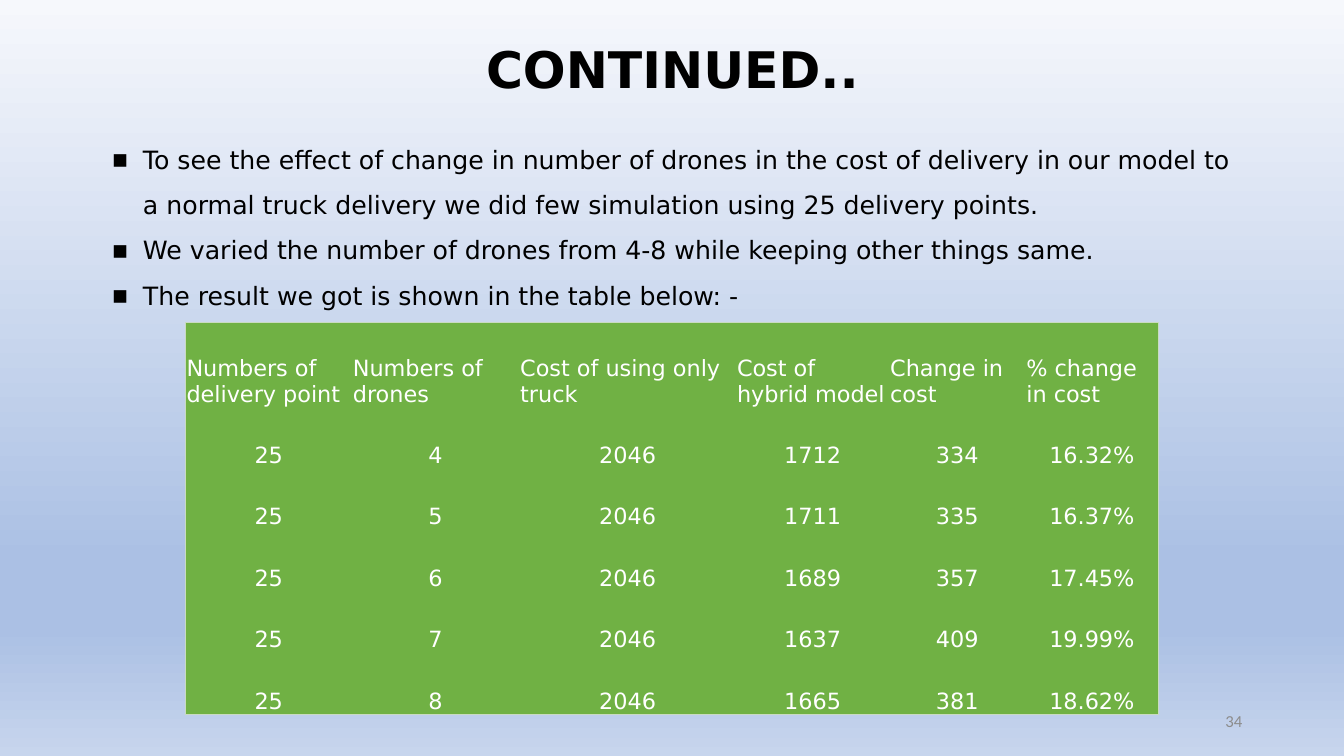
from lxml import etree
from pptx import Presentation
from pptx.dml.color import RGBColor
from pptx.enum import text
from pptx.oxml import ns
from pptx.util import Inches, Pt

TITLE = "CONTINUED.."
POINTS = [
    "To see the effect of change in number of drones in the cost of delivery in our model to a normal truck delivery we did few simulation using 25 delivery points.",
    "We varied the number of drones from 4-8 while keeping other things same.",
    "The result we got is shown in the table below: -",
]
HEAD = ["Numbers of delivery point", "Numbers of drones", "Cost of using only truck",
        "Cost of hybrid model", "Change in cost", "% change in cost"]
ROWS = [
    ["25", "4", "2046", "1712", "334", "16.32%"],
    ["25", "5", "2046", "1711", "335", "16.37%"],
    ["25", "6", "2046", "1689", "357", "17.45%"],
    ["25", "7", "2046", "1637", "409", "19.99%"],
    ["25", "8", "2046", "1665", "381", "18.62%"],
]
PAGE = "34"
WIDTHS = [1.65, 1.66, 2.15, 1.52, 1.35, 1.32]
HEIGHTS = [0.84] + [0.61] * len(ROWS)
STOPS = [(0, "F6F8FC"), (74, "ABC0E4"), (83, "ABC0E4"), (100, "C7D5ED")]
COLORS = {"ink": "000000", "page": "8C8C8C", "cell": "70B144",
          "edge": "C9DBC1", "white": "FFFFFF"}
FONT = "DejaVu Sans"
ALIGN = text.PP_ALIGN
ANCHOR = text.MSO_ANCHOR


def sub(node, tag, **attrs):
    return etree.SubElement(node, ns.qn("a:" + tag), attrs)


def write(para, words, size, color, font=FONT, bold=False, align=ALIGN.LEFT, lead=None):
    para.alignment = align
    if lead:
        para.line_spacing = lead
    run = para.add_run()
    run.text = words
    run.font.name = font
    run.font.size = Pt(size)
    run.font.bold = bold
    run.font.color.rgb = RGBColor.from_string(COLORS[color])


def box(slide, *place):
    frame = slide.shapes.add_textbox(*map(Inches, place)).text_frame
    frame.word_wrap = True
    return frame


def paint(slide):
    fill = slide.background.fill
    fill.gradient()
    fill.gradient_angle = 270
    stops = slide.element.find(".//" + ns.qn("a:gsLst"))
    for old in list(stops):
        stops.remove(old)
    for pos, color in STOPS:
        sub(sub(stops, "gs", pos=str(pos * 1000)), "srgbClr", val=color)


def bullet(para):
    props = para._p.get_or_add_pPr()
    props.set("marL", str(Inches(0.31)))
    props.set("indent", str(-Inches(0.31)))
    sub(props, "buFont", typeface=FONT)
    sub(props, "buChar", char="▪")


def border(cell, sides):
    props = cell._tc.get_or_add_tcPr()
    for side, shown in sides.items():
        line = sub(props, "ln" + side, w=str(Pt(0.5)))
        if shown:
            sub(sub(line, "solidFill"), "srgbClr", val=COLORS["edge"])
        else:
            sub(line, "noFill")


def grid(slide):
    data = [HEAD] + ROWS
    last, end = len(data) - 1, len(HEAD) - 1
    place = map(Inches, (1.84, 3.2, sum(WIDTHS), sum(HEIGHTS)))
    table = slide.shapes.add_table(len(data), len(HEAD), *place).table
    table.first_row = table.horz_banding = False
    for col, width in zip(table.columns, WIDTHS):
        col.width = Inches(width)
    for r, row in enumerate(data):
        table.rows[r].height = Inches(HEIGHTS[r])
        for c, words in enumerate(row):
            cell = table.cell(r, c)
            border(cell, {"L": c == 0, "R": c == end, "T": r == 0, "B": r == last})
            cell.fill.solid()
            cell.fill.fore_color.rgb = RGBColor.from_string(COLORS["cell"])
            cell.margin_left = cell.margin_right = cell.margin_top = Inches(0.01)
            cell.margin_bottom = 0
            cell.vertical_anchor = ANCHOR.BOTTOM
            write(cell.text_frame.paragraphs[0], words, 16, "white",
                  align=ALIGN.CENTER if r else ALIGN.LEFT)


def main():
    deck = Presentation()
    deck.slide_width, deck.slide_height = Inches(13.33), Inches(7.5)
    slide = deck.slides.add_slide(deck.slide_layouts[6])
    paint(slide)

    page = box(slide, 9.42, 6.95, 3, 0.4)
    page.vertical_anchor = ANCHOR.MIDDLE
    write(page.paragraphs[0], PAGE, 12, "page", font="Calibri", align=ALIGN.RIGHT)

    title = box(slide, 0.92, 0.4, 11.5, 0.89)
    write(title.paragraphs[0], TITLE, 36, "ink", bold=True, align=ALIGN.CENTER, lead=0.9)

    body = box(slide, 1.01, 1.23, 11.31, 2.22)
    body.auto_size = text.MSO_AUTO_SIZE.SHAPE_TO_FIT_TEXT
    for i, words in enumerate(POINTS):
        para = body.add_paragraph() if i else body.paragraphs[0]
        bullet(para)
        write(para, words, 18, "ink", lead=1.5)

    grid(slide)
    deck.save("out.pptx")


if __name__ == "__main__":
    main()
